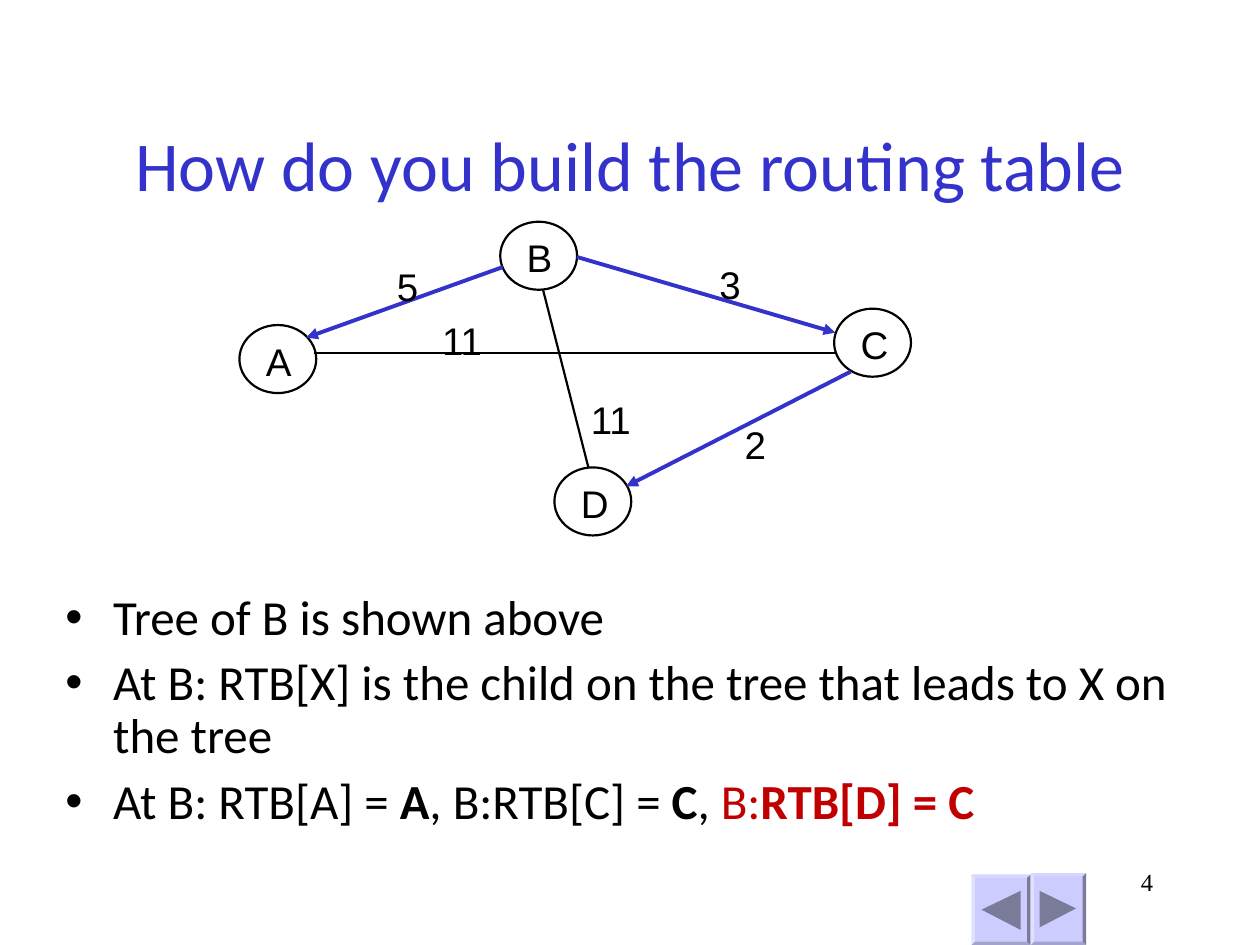
from lxml import etree
from pptx import Presentation
from pptx.dml.color import RGBColor
from pptx.enum.shapes import MSO_CONNECTOR, MSO_SHAPE
from pptx.enum.text import MSO_ANCHOR, PP_ALIGN
from pptx.oxml.ns import qn
from pptx.util import Pt

PX = 9144
STRAIGHT = MSO_CONNECTOR.STRAIGHT
OVAL, BEVEL = MSO_SHAPE.OVAL, MSO_SHAPE.BEVEL
TOP, MIDDLE = MSO_ANCHOR.TOP, MSO_ANCHOR.MIDDLE
LEFT, CENTER, RIGHT = PP_ALIGN.LEFT, PP_ALIGN.CENTER, PP_ALIGN.RIGHT

BLACK = RGBColor(0x00, 0x00, 0x00)
BLUE = RGBColor(0x33, 0x33, 0xCC)
RED = RGBColor(0xC0, 0x00, 0x00)
LAVENDER = RGBColor(0xCC, 0xCC, 0xFF)
SLATE = RGBColor(0x7A, 0x7A, 0x99)

NODES = [("A", 190, 258), ("B", 397, 176), ("C", 662, 245), ("D", 440, 371)]
TREE_EDGES = [
    ((399, 212), (243, 268)),
    ((458, 204), (663, 264)),
    ((675, 295), (497, 386)),
]
OTHER_EDGES = [((249, 280), (664, 280)), ((431, 230), (467, 371))]
COSTS = [("5", 315, 209), ("3", 571, 207), ("2", 591, 334),
         ("11", 469, 314), ("11", 351, 252)]
BUTTONS = [
    ((771, 694, 47, 56), [(779, 722), (810, 707), (810, 738)]),
    ((818, 693, 44, 57), [(825, 707), (854, 721), (825, 736)]),
]
BULLETS = [
    [("Tree of B is shown above", False, BLACK)],
    [("At B: RTB[X] is the child on the tree that leads to X on the tree",
      False, BLACK)],
    [("At B: RTB[A] = ", False, BLACK), ("A", True, BLACK),
     (", B:RTB[C] = ", False, BLACK), ("C", True, BLACK),
     (", ", False, BLACK), ("B:", False, RED), ("RTB[D] = C", True, RED)],
]


class SlideBuilder:
    def __init__(self, page):
        self.page = page
        self.shapes = page.shapes

    def emu(self, *lengths):
        return [length * PX for length in lengths]

    def style(self, font, name, size, color):
        font.name, font.size = name, Pt(size)
        font.color.rgb = color

    def frame(self, x, y, width, height, anchor=TOP):
        box = self.shapes.add_textbox(*self.emu(x, y, width, height))
        frame = box.text_frame
        frame.word_wrap = True
        frame.vertical_anchor = anchor
        return frame

    def text(self, words, area, name, size, color, align, anchor=TOP):
        para = self.frame(*area, anchor).paragraphs[0]
        para.text = words
        para.alignment = align
        self.style(para.font, name, size, color)

    def label(self, words, x, y):
        frame = self.frame(x, y, 17 * len(words), 37)
        frame.word_wrap = False
        frame.margin_left = frame.margin_right = 0
        frame.margin_top = frame.margin_bottom = 0
        para = frame.paragraphs[0]
        para.text = words
        para.alignment = LEFT
        self.style(para.font, "Arial", 22, BLACK)

    def bullets(self, items, area):
        frame = self.frame(*area)
        for index, spans in enumerate(items):
            para = frame.add_paragraph() if index else frame.paragraphs[0]
            para.line_spacing = 0.9
            para.space_before = Pt(7)
            props = para._p.get_or_add_pPr()
            props.set("marL", str(38 * PX))
            props.set("indent", str(-38 * PX))
            etree.SubElement(props, qn("a:buFont"), typeface="Arial")
            etree.SubElement(props, qn("a:buChar"), char="•")
            self.style(para.font, "Calibri", 28, BLACK)
            for words, bold, color in spans:
                span = para.add_run()
                span.text = words
                span.font.bold = bold
                span.font.color.rgb = color

    def node(self, name, x, y):
        self.label(name, x + 21, y + 10)
        circle = self.shapes.add_shape(OVAL, *self.emu(x, y, 61, 54))
        circle.shadow.inherit = False
        circle.fill.background()
        circle.line.color.rgb = BLACK
        circle.line.width = Pt(1.25)

    def edge(self, start, end, color, width, arrow=False):
        edge = self.shapes.add_connector(STRAIGHT, *self.emu(*start, *end))
        edge.line.color.rgb = color
        edge.line.width = Pt(width)
        if arrow:
            line = edge.line._get_or_add_ln()
            etree.SubElement(line, qn("a:tailEnd"), type="triangle")
        etree.SubElement(edge._element.spPr, qn("a:effectLst"))

    def button(self, area, corners):
        bevel = self.shapes.add_shape(BEVEL, *self.emu(*area))
        bevel.adjustments[0] = 0.06
        first, *others = corners
        outline = self.shapes.build_freeform(*first, scale=PX)
        outline.add_line_segments(others, close=True)
        triangle = outline.convert_to_shape()
        for shape, color in ((bevel, LAVENDER), (triangle, SLATE)):
            shape.shadow.inherit = False
            shape.fill.solid()
            shape.fill.fore_color.rgb = color
            shape.line.fill.background()


def main():
    deck = Presentation()
    deck.slide_width, deck.slide_height = 1000 * PX, 750 * PX
    slide = SlideBuilder(deck.slides.add_slide(deck.slide_layouts[6]))

    for area, corners in BUTTONS:
        slide.button(area, corners)
    slide.text("4", (717, 683, 208, 50), "Times New Roman", 14, BLACK, RIGHT)
    slide.text("How do you build the routing table", (75, 67, 850, 125),
               "Calibri", 40, BLUE, CENTER, MIDDLE)
    slide.bullets(BULLETS, (42, 466, 910, 201))
    for name, x, y in NODES:
        slide.node(name, x, y)
    for start, end in TREE_EDGES:
        slide.edge(start, end, BLUE, 2.25, arrow=True)
    for start, end in OTHER_EDGES:
        slide.edge(start, end, BLACK, 1.25)
    for cost, x, y in COSTS:
        slide.label(cost, x, y)

    deck.save("out.pptx")


if __name__ == "__main__":
    main()
